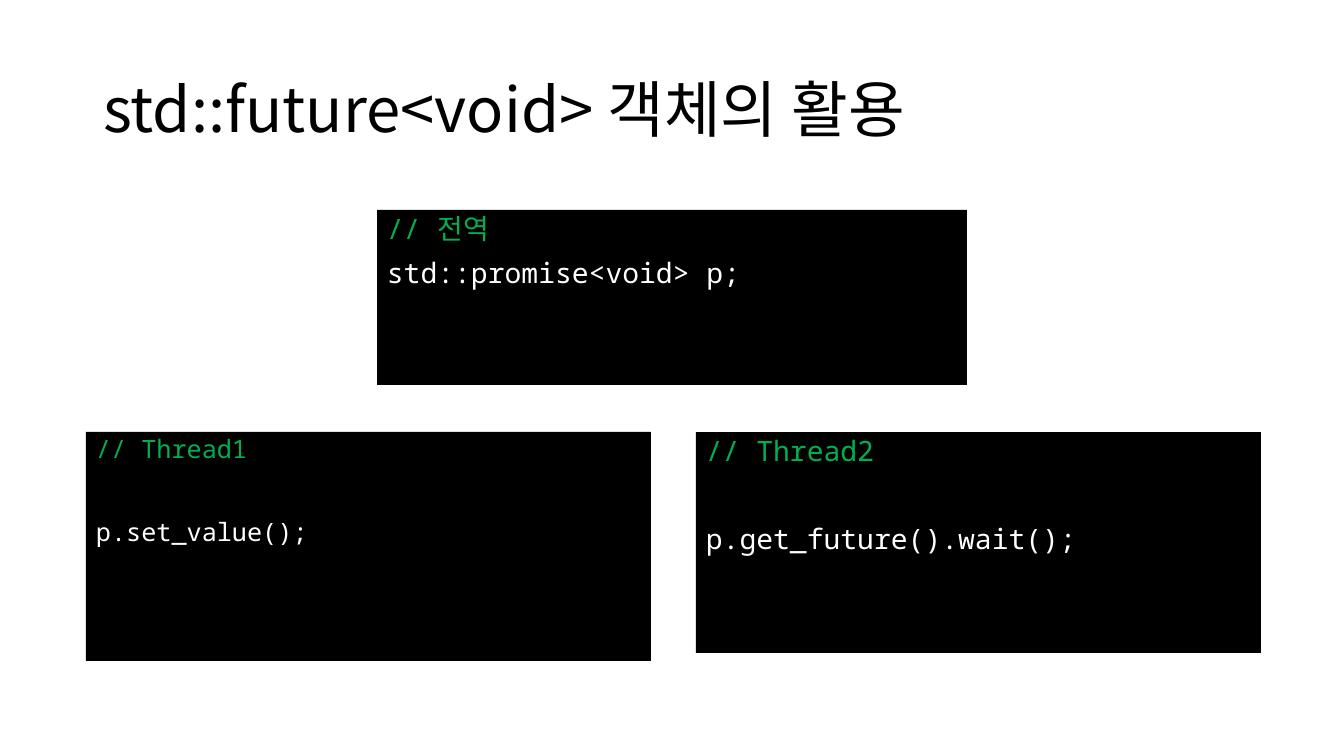
from lxml.etree import SubElement
from pptx import Presentation
from pptx.dml.color import RGBColor
from pptx.enum.shapes import MSO_SHAPE
from pptx.enum.text import MSO_ANCHOR, MSO_AUTO_SIZE, PP_ALIGN
from pptx.oxml.ns import qn
from pptx.util import Emu, Pt

BLACK = RGBColor(0x00, 0x00, 0x00)
WHITE = RGBColor(0xFF, 0xFF, 0xFF)
GREEN = RGBColor(0x00, 0xB0, 0x50)
KOREAN_FONT = "Noto Sans CJK KR"
CODE_FONT = "Noto Sans Mono"
EMU_PER_PIXEL = 914400 / 100.8


def px(pixels):
    return Emu(round(pixels * EMU_PER_PIXEL))


def format_paragraph(para, font_name, size, color):
    para.alignment = PP_ALIGN.LEFT
    para.line_spacing = 0.9
    for span in para.runs:
        span.font.name = font_name
        span.font.size = Pt(size)
        span.font.color.rgb = color
        SubElement(span.font._element, qn("a:ea"), typeface=KOREAN_FONT)


deck = Presentation()
deck.slide_width, deck.slide_height = px(1344), px(756)
page = deck.slides.add_slide(deck.slide_layouts[5])

# Title
title = page.shapes.title
title.left, title.top, title.width, title.height = px(93), px(40), px(1159), px(146)
title.text_frame.text = "std::future<void> 객체의 활용"
title.text_frame.auto_size = MSO_AUTO_SIZE.NONE
title.text_frame.vertical_anchor = MSO_ANCHOR.MIDDLE
format_paragraph(title.text_frame.paragraphs[0], KOREAN_FONT, 44, BLACK)

# Code panels: left, top, width, height, font size, gap in points, comment, statement
panels = [
    (86, 432, 565, 229, 18, 39.5, "// Thread1", "p.set_value();"),
    (377, 210, 590, 175, 20, 10, "// 전역", "std::promise<void> p;"),
    (696, 432, 565, 221, 20, 41.5, "// Thread2", "p.get_future().wait();"),
]
for left, top, width, height, size, gap, comment, statement in panels:
    box = page.shapes.add_shape(
        MSO_SHAPE.RECTANGLE, px(left), px(top), px(width), px(height))
    box.shadow.inherit = False
    box.fill.solid()
    box.fill.fore_color.rgb = BLACK
    box.line.fill.background()
    frame = box.text_frame
    frame.word_wrap = True
    frame.vertical_anchor = MSO_ANCHOR.TOP
    frame.text = f"{comment}\n{statement}"
    for para, color in zip(frame.paragraphs, (GREEN, WHITE)):
        format_paragraph(para, CODE_FONT, size, color)
    frame.paragraphs[1].space_before = Pt(gap)

deck.save("out.pptx")
